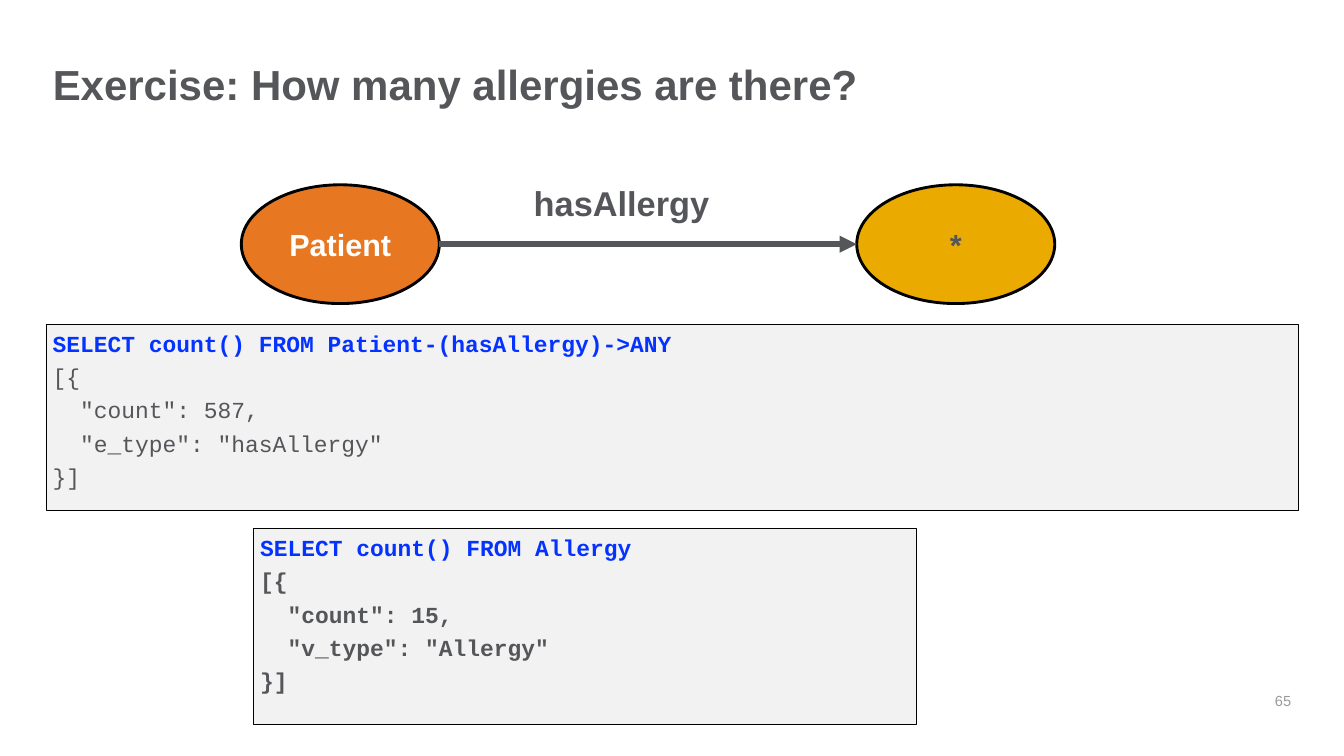
"""Build the slide with the allergy-count exercise: a graph pattern and two queries."""
from dataclasses import dataclass

from lxml import etree
from pptx import Presentation
from pptx.dml.color import RGBColor
from pptx.enum.shapes import MSO_CONNECTOR, MSO_SHAPE
from pptx.enum.text import MSO_ANCHOR, PP_ALIGN
from pptx.oxml.ns import qn
from pptx.util import Cm, Pt

RECTANGLE, ELLIPSE = MSO_SHAPE.RECTANGLE, MSO_SHAPE.OVAL
STRAIGHT = MSO_CONNECTOR.STRAIGHT
TOP, MIDDLE = MSO_ANCHOR.TOP, MSO_ANCHOR.MIDDLE
LEFT, CENTER, RIGHT = PP_ALIGN.LEFT, PP_ALIGN.CENTER, PP_ALIGN.RIGHT


@dataclass(frozen=True)
class Theme:
    sans: str = "Arial"
    mono: str = "Courier New"
    ink: str = "55565A"
    muted: str = "999A9B"
    query: str = "0432FF"
    panel: str = "F2F2F2"
    outline: str = "000000"
    white: str = "FFFFFF"
    orange: str = "E87722"
    gold: str = "EAAA00"
    title_size: float = 44
    edge_size: float = 36
    node_size: float = 32
    code_size: float = 24
    number_size: float = 15.3


THEME = Theme()
TITLE = "Exercise: How many allergies are there?"
EDGE = "hasAllergy"
PAGE = "65"
NODES = [
    ("Patient", 8.92, THEME.orange, THEME.white),
    ("*", 31.67, THEME.gold, THEME.ink),
]
NODE_TOP, NODE_WIDTH, NODE_HEIGHT = 6.83, 7.32, 4.39
QUERIES = [
    ((1.7, 11.99, 46.28, 6.86), False, [
        "SELECT count() FROM Patient-(hasAllergy)->ANY",
        "[{",
        '  "count": 587,',
        '  "e_type": "hasAllergy"',
        "}]",
    ]),
    ((9.37, 19.53, 24.51, 7.26), True, [
        "SELECT count() FROM Allergy",
        "[{",
        '  "count": 15,',
        '  "v_type": "Allergy"',
        "}]",
    ]),
]


def place(part, left, top, width, height):
    part.left, part.top, part.width, part.height = map(Cm, (left, top, width, height))


def set_frame(frame, anchor, wrap=True):
    frame.word_wrap = wrap
    frame.vertical_anchor = anchor
    frame.margin_left = frame.margin_right = Cm(0.25)
    frame.margin_top = frame.margin_bottom = Cm(0.25)


def style(paragraph, size, color, bold=True, face=THEME.sans, align=LEFT):
    paragraph.alignment = align
    for run in paragraph.runs:
        run.font.name, run.font.size, run.font.bold = face, Pt(size), bold
        run.font.color.rgb = RGBColor.from_string(color)


def add_panel(slide, preset, box, fill, line_width):
    panel = slide.shapes.add_shape(preset, *map(Cm, box))
    panel.shadow.inherit = False
    panel.fill.solid()
    panel.fill.fore_color.rgb = RGBColor.from_string(fill)
    panel.line.color.rgb = RGBColor.from_string(THEME.outline)
    panel.line.width = Pt(line_width)
    return panel


def add_label(slide, text, box, anchor, wrap, size, color, bold, align):
    label = slide.shapes.add_textbox(*map(Cm, box)).text_frame
    set_frame(label, anchor, wrap)
    label.text = text
    style(label.paragraphs[0], size, color, bold, align=align)


def add_node(slide, name, left, fill, color):
    box = (left, NODE_TOP, NODE_WIDTH, NODE_HEIGHT)
    label = add_panel(slide, ELLIPSE, box, fill, 3).text_frame
    set_frame(label, MIDDLE)
    label.text = name
    style(label.paragraphs[0], THEME.node_size, color, align=CENTER)


def add_arrow(slide, start, end, y):
    arrow = slide.shapes.add_connector(STRAIGHT, Cm(start), Cm(y), Cm(end), Cm(y))
    arrow.line.color.rgb = RGBColor.from_string(THEME.ink)
    arrow.line.width = Pt(6)
    etree.SubElement(arrow.line._get_or_add_ln(), qn("a:tailEnd"), type="triangle")
    etree.SubElement(arrow._element.spPr, qn("a:effectLst"))


def add_query(slide, box, bold_result, lines):
    code = add_panel(slide, RECTANGLE, box, THEME.panel, 0.75).text_frame
    set_frame(code, TOP)
    code.text = "\n".join(lines)
    for index, paragraph in enumerate(code.paragraphs):
        is_query = index == 0
        color = THEME.query if is_query else THEME.ink
        style(paragraph, THEME.code_size, color, is_query or bold_result, THEME.mono)
        paragraph.line_spacing = 0.95
        paragraph.space_after = Pt(7.7)


def main():
    deck = Presentation()
    deck.slide_width, deck.slide_height = Cm(49.68), Cm(27.94)
    slide = deck.slides.add_slide(deck.slide_layouts[5])

    title = slide.shapes.title
    place(title, 1.7, 2.13, 46.28, 2.26)
    set_frame(title.text_frame, TOP)
    title.text_frame.text = TITLE
    heading = title.text_frame.paragraphs[0]
    heading.line_spacing = 0.9
    style(heading, THEME.title_size, THEME.ink)

    for node in NODES:
        add_node(slide, *node)
    source_left, target_left = (left for _, left, _, _ in NODES)
    add_arrow(slide, source_left + NODE_WIDTH, target_left, NODE_TOP + NODE_HEIGHT / 2)
    add_label(slide, EDGE, (19.48, 6.48, 7.06, 1.8), TOP, False,
              THEME.edge_size, THEME.ink, True, LEFT)
    for query in QUERIES:
        add_query(slide, *query)
    add_label(slide, PAGE, (45.01, 24.82, 2.97, 2.13), MIDDLE, True,
              THEME.number_size, THEME.muted, False, RIGHT)
    deck.save("out.pptx")


if __name__ == "__main__":
    main()
